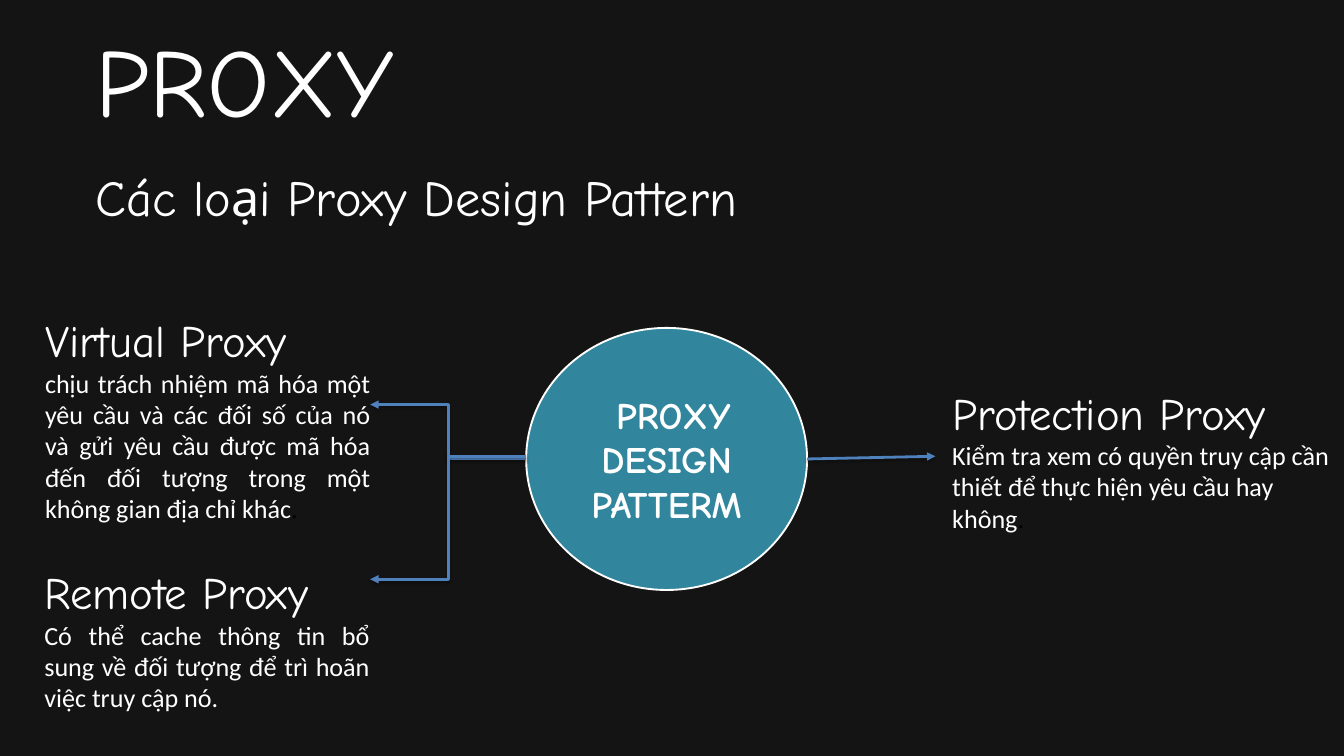
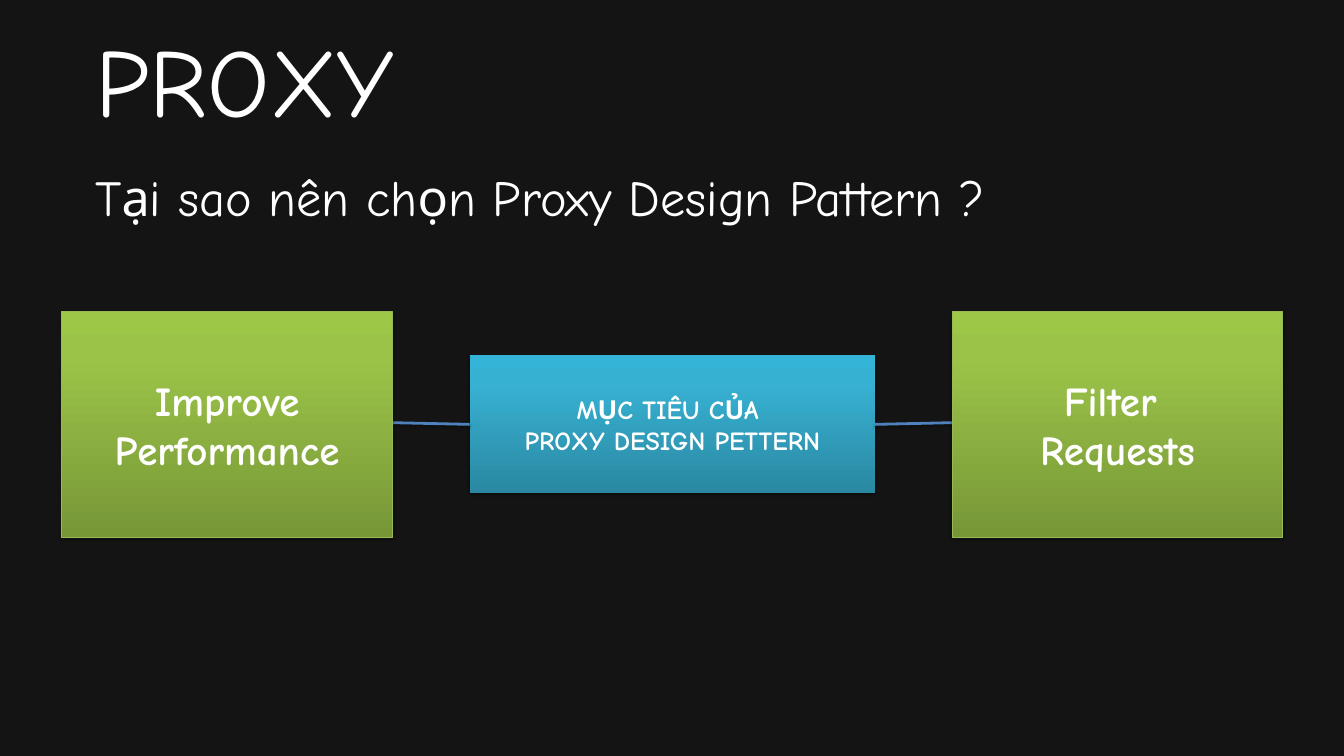
from copy import deepcopy

from lxml.etree import SubElement
from pptx import Presentation
from pptx.dml.color import RGBColor
from pptx.enum.shapes import MSO_CONNECTOR, MSO_SHAPE
from pptx.enum.text import MSO_ANCHOR, MSO_AUTO_SIZE, PP_ALIGN
from pptx.oxml.ns import qn
from pptx.util import Inches, Pt

COLORS = {
    "back": "141414", "text": "FFFFFF", "hidden": "000000",
    "circle": "31859C", "link": "4F81BD", "goal_edge": "98B955",
}
TOPIC_STOPS = [(0, "2A88A2"), (0.8, "37B1D2"), (1, "34B4D6")]
GOAL_STOPS = [(0, "779737"), (0.8, "9BC348"), (1, "9DC746")]

HAND = {"name": "Comic Neue"}
TITLE = {**HAND, "size": Pt(104)}
SUBTITLE = {**HAND, "size": Pt(54)}
HEADING = {**HAND, "size": Pt(48)}
BODY = {"name": "Calibri", "size": Pt(28)}
HEAD_SPACING = {"line_spacing": Pt(90)}
CENTERED = {"alignment": PP_ALIGN.CENTER}


def rgb(hex_value):
    return RGBColor.from_string(hex_value)


def set_values(target, values):
    for name, value in values.items():
        setattr(target, name, value)


def add_span(para, text, style, color="text"):
    span = para.add_run()
    span.text = text
    set_values(span.font, style)
    span.font.color.rgb = rgb(COLORS[color])


def write(frame, paragraphs):
    """Fill a frame from (paragraph format, [span arguments]) pairs."""
    for index, (layout, spans) in enumerate(paragraphs):
        para = frame.add_paragraph() if index else frame.paragraphs[0]
        set_values(para, layout)
        for span in spans:
            add_span(para, *span)


def add_text(page, box, paragraphs):
    frame = page.shapes.add_textbox(*map(Inches, box)).text_frame
    set_values(frame, {
        "word_wrap": True, "auto_size": MSO_AUTO_SIZE.SHAPE_TO_FIT_TEXT,
        "margin_left": 0, "margin_right": 0, "margin_top": 0, "margin_bottom": 0,
    })
    write(frame, paragraphs)


def add_soft_shadow(effects):
    shadow = SubElement(effects, qn("a:outerShdw"), blurRad="40000",
                        dist="23000", dir="5400000", rotWithShape="0")
    color = SubElement(shadow, qn("a:srgbClr"), val="000000")
    SubElement(color, qn("a:alpha"), val="35000")


def add_block(page, kind, box, lines, size):
    """Add a shape with centred bold lines; the caller sets fill and outline."""
    block = page.shapes.add_shape(kind, *map(Inches, box))
    block.shadow.inherit = False
    set_values(block.text_frame, {"word_wrap": True, "vertical_anchor": MSO_ANCHOR.MIDDLE})
    style = {**HAND, "size": Pt(size), "bold": True}
    write(block.text_frame, [(CENTERED, [(line, style)]) for line in lines])
    return block


def add_gradient_block(page, box, lines, size, stops, edge=None):
    block = add_block(page, MSO_SHAPE.RECTANGLE, box, lines, size)
    block.fill.gradient()
    block.fill.gradient_angle = 90
    stop_list = block.element.spPr.find(".//" + qn("a:gsLst"))
    stop_list.append(deepcopy(stop_list[-1]))
    for stop, (position, color) in zip(block.fill.gradient_stops, stops):
        stop.position = position
        stop.color.rgb = rgb(color)
    if edge:
        block.line.color.rgb = rgb(COLORS[edge])
        block.line.width = Pt(0.75)
    else:
        block.line.fill.background()
    add_soft_shadow(block.element.spPr.find(qn("a:effectLst")))


def add_link(page, start, end, kind=MSO_CONNECTOR.STRAIGHT, arrow=False):
    link = page.shapes.add_connector(kind, *map(Inches, (*start, *end)))
    link.line.color.rgb = rgb(COLORS["link"])
    link.line.width = Pt(3)
    if arrow:
        SubElement(link.line._get_or_add_ln(), qn("a:tailEnd"), type="triangle")
    add_soft_shadow(SubElement(link._element.spPr, qn("a:effectLst")))


def add_page(deck, subtitle):
    """Start a page with the shared background, title and subtitle."""
    page = deck.slides.add_slide(deck.slide_layouts[6])
    page.background.fill.solid()
    page.background.fill.fore_color.rgb = rgb(COLORS["back"])
    for top, text, style in [(0.79, "PROXY", TITLE), (2.12, subtitle, SUBTITLE)]:
        add_text(page, (1.42, top, 16.99, 1.26), [(HEAD_SPACING, [(text, style)])])
    return page


def add_proxy_type(page, box, heading, body, justified=True, dot=False):
    spans = [(body, BODY)]
    if dot:
        spans.append((".", BODY, "hidden"))
    layout = {"alignment": PP_ALIGN.JUSTIFY} if justified else {}
    add_text(page, box, [(HEAD_SPACING, [(heading, HEADING)]), (layout, spans)])


def build_types_page(deck):
    page = add_page(deck, "Các loại Proxy Design Pattern")

    # Central circle
    left, top, width, height = box = (7.83, 4.88, 4.18, 3.9)
    circle = add_block(page, MSO_SHAPE.OVAL, box, [" PROXY DESIGN PATTERM"], 40)
    circle.fill.solid()
    circle.fill.fore_color.rgb = rgb(COLORS["circle"])
    circle.line.color.rgb = rgb(COLORS["text"])
    circle.line.width = Pt(2)

    # Arrows from the circle to each proxy type
    middle = top + height / 2
    text_edge = 5.51
    add_link(page, (left, middle), (text_edge, 6.02), MSO_CONNECTOR.ELBOW, arrow=True)
    add_link(page, (left, 6.79), (text_edge, 8.62), MSO_CONNECTOR.ELBOW, arrow=True)
    add_link(page, (left + width, middle), (13.92, 6.79), arrow=True)

    # Proxy types
    add_proxy_type(
        page, (0.67, 4.21, 4.84, 3.62), "Virtual Proxy",
        "chịu trách nhiệm mã hóa một yêu cầu và các đối số của nó và gửi yêu cầu "
        "được mã hóa đến đối tượng trong một không gian địa chỉ khác", dot=True)
    add_proxy_type(
        page, (0.66, 7.96, 4.84, 2.68), "Remote Proxy",
        "Có thể cache thông tin bổ sung về đối tượng để trì hoãn việc truy cập nó.")
    add_proxy_type(
        page, (14.17, 5.29, 5.66, 3.94), "Protection Proxy",
        "Kiểm tra xem có quyền truy cập cần thiết để thực hiện yêu cầu hay không",
        justified=False, dot=True)


def build_goals_page(deck):
    page = add_page(deck, "Tại sao nên chọn Proxy Design Pattern ?")

    # Central topic
    left, top, width, height = box = (6.99, 5.29, 6.03, 2.05)
    add_gradient_block(page, box, ["MỤC TIÊU CỦA ", "PROXY DESIGN PETTERN"], 28, TOPIC_STOPS)

    # Goals on both sides, each linked to the topic
    goal_top, goal_width, goal_height = 4.64, 4.92, 3.35
    middle = top + height / 2
    goals = [
        (0.92, ["Improve Performance"], left, 0.92 + goal_width),
        (14.17, ["Filter ", "Requests"], left + width, 14.17),
    ]
    for goal_left, lines, topic_edge, goal_edge in goals:
        add_link(page, (topic_edge, middle), (goal_edge, 6.29))
        add_gradient_block(page, (goal_left, goal_top, goal_width, goal_height),
                           lines, 44, GOAL_STOPS, "goal_edge")


def main():
    deck = Presentation()
    deck.slide_width, deck.slide_height = Inches(20), Inches(11.25)
    build_types_page(deck)
    build_goals_page(deck)
    deck.save("out.pptx")


if __name__ == "__main__":
    main()
